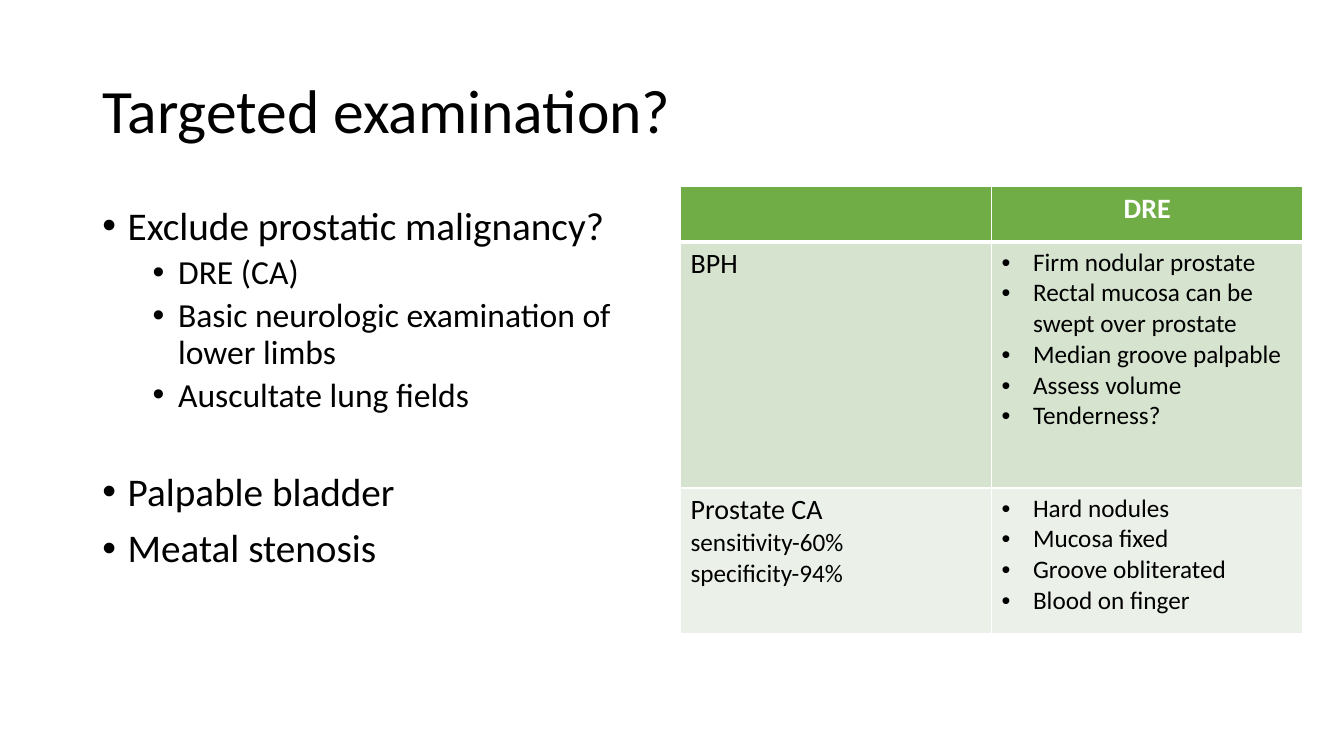
from dataclasses import dataclass

from lxml import etree
from pptx import Presentation
from pptx.dml.color import RGBColor
from pptx.enum.text import MSO_ANCHOR, PP_ALIGN
from pptx.oxml.ns import qn
from pptx.util import Cm, Pt

CENTER = PP_ALIGN.CENTER
MIDDLE, TOP = MSO_ANCHOR.MIDDLE, MSO_ANCHOR.TOP

FONT = "Calibri"
COLORS = {
    "text": "000000",
    "white": "FFFFFF",
    "header": "70AD47",
    "band_dark": "D5E3CF",
    "band_light": "EBF1E9",
}


@dataclass
class Line:
    text: str
    size: float
    indent: float = 0  # left margin in cm
    hang: float = 0  # bullet hang in cm; 0 means no bullet
    before: float = 0
    spacing: float = 1.0
    color: str = "text"
    bold: bool = False
    align: PP_ALIGN | None = None


@dataclass
class Row:
    height: float
    fill: str
    cells: list[list[Line]]
    top: float = 1  # border widths in points
    bottom: float = 1


def main_point(text: str, before: float = 0) -> Line:
    return Line(text, 28, 0.64, 0.64, before, 0.9)


def sub_point(text: str) -> Line:
    return Line(text, 24, 1.91, 0.64, 5, 0.9)


def finding(text: str) -> Line:
    return Line(text, 18, 0.79, 0.79)


BODY = [
    main_point("Exclude prostatic malignancy?"),
    sub_point("DRE (CA)"),
    sub_point("Basic neurologic examination of lower limbs"),
    sub_point("Auscultate lung fields"),
    main_point("Palpable bladder", before=41.4),
    main_point("Meatal stenosis", before=10),
]

ROWS = [
    Row(1.4, "header", [[], [Line("DRE", 20, color="white", bold=True, align=CENTER)]], bottom=3),
    Row(6.2, "band_dark", [
        [Line("BPH", 20)],
        [finding(t) for t in ("Firm nodular prostate", "Rectal mucosa can be swept over prostate",
                              "Median groove palpable", "Assess volume", "Tenderness?")],
    ], top=3),
    Row(3.66, "band_light", [
        [Line("Prostate CA", 20), Line("sensitivity-60%", 18), Line("specificity-94%", 18)],
        [finding(t) for t in ("Hard nodules", "Mucosa fixed", "Groove obliterated",
                              "Blood on finger")],
    ]),
]


def rgb(name: str) -> RGBColor:
    return RGBColor.from_string(COLORS[name])


def add_text(p, text: str, *, size: float, color: str = "text", bold: bool = False) -> None:
    r = p.add_run()
    r.text = text
    r.font.name = FONT
    r.font.size = Pt(size)
    r.font.bold = bold
    r.font.color.rgb = rgb(color)


def write_lines(tf, lines: list[Line]) -> None:
    for i, line in enumerate(lines):
        p = tf.add_paragraph() if i else tf.paragraphs[0]
        if line.hang:
            pPr = p._p.get_or_add_pPr()
            pPr.set("marL", str(Cm(line.indent)))
            pPr.set("indent", str(-Cm(line.hang)))
            etree.SubElement(pPr, qn("a:buFont"), typeface="Arial")
            etree.SubElement(pPr, qn("a:buChar"), char="•")
        p.line_spacing = line.spacing
        p.space_before = Pt(line.before)
        if line.align is not None:
            p.alignment = line.align
        add_text(p, line.text, size=line.size, color=line.color, bold=line.bold)


def add_box(s, left: float, top: float, width: float, height: float,
            lines: list[Line], anchor: MSO_ANCHOR = TOP) -> None:
    tf = s.shapes.add_textbox(Cm(left), Cm(top), Cm(width), Cm(height)).text_frame
    tf.word_wrap = True
    tf.vertical_anchor = anchor
    write_lines(tf, lines)


def set_borders(cell, top: float, bottom: float) -> None:
    tcPr = cell._tc.get_or_add_tcPr()
    for side, width in (("L", 1), ("R", 1), ("T", top), ("B", bottom)):
        ln = etree.SubElement(tcPr, qn(f"a:ln{side}"), w=str(Pt(width)))
        fill = etree.SubElement(ln, qn("a:solidFill"))
        etree.SubElement(fill, qn("a:srgbClr"), val=COLORS["white"])


def add_findings_table(s, left: float, top: float, col_width: float, rows: list[Row]) -> None:
    n_cols = len(rows[0].cells)
    height = sum(row.height for row in rows)
    table = s.shapes.add_table(len(rows), n_cols, Cm(left), Cm(top),
                               Cm(col_width * n_cols), Cm(height)).table
    for col in table.columns:
        col.width = Cm(col_width)
    for i, row in enumerate(rows):
        table.rows[i].height = Cm(row.height)
        for j, lines in enumerate(row.cells):
            cell = table.cell(i, j)
            set_borders(cell, row.top, row.bottom)
            cell.fill.solid()
            cell.fill.fore_color.rgb = rgb(row.fill)
            write_lines(cell.text_frame, lines)


def main() -> None:
    prs = Presentation()
    prs.slide_width, prs.slide_height = Cm(33.87), Cm(19.05)
    s = prs.slides.add_slide(prs.slide_layouts[6])

    # Title
    add_box(s, 2.33, 1.01, 29.21, 3.68, [Line("Targeted examination?", 44, spacing=0.9)], MIDDLE)
    # Examination steps
    add_box(s, 2.33, 5.07, 14.4, 12.09, BODY)
    # Rectal examination findings
    add_findings_table(s, 17.15, 4.7, 7.84, ROWS)

    prs.save("out.pptx")


if __name__ == "__main__":
    main()
